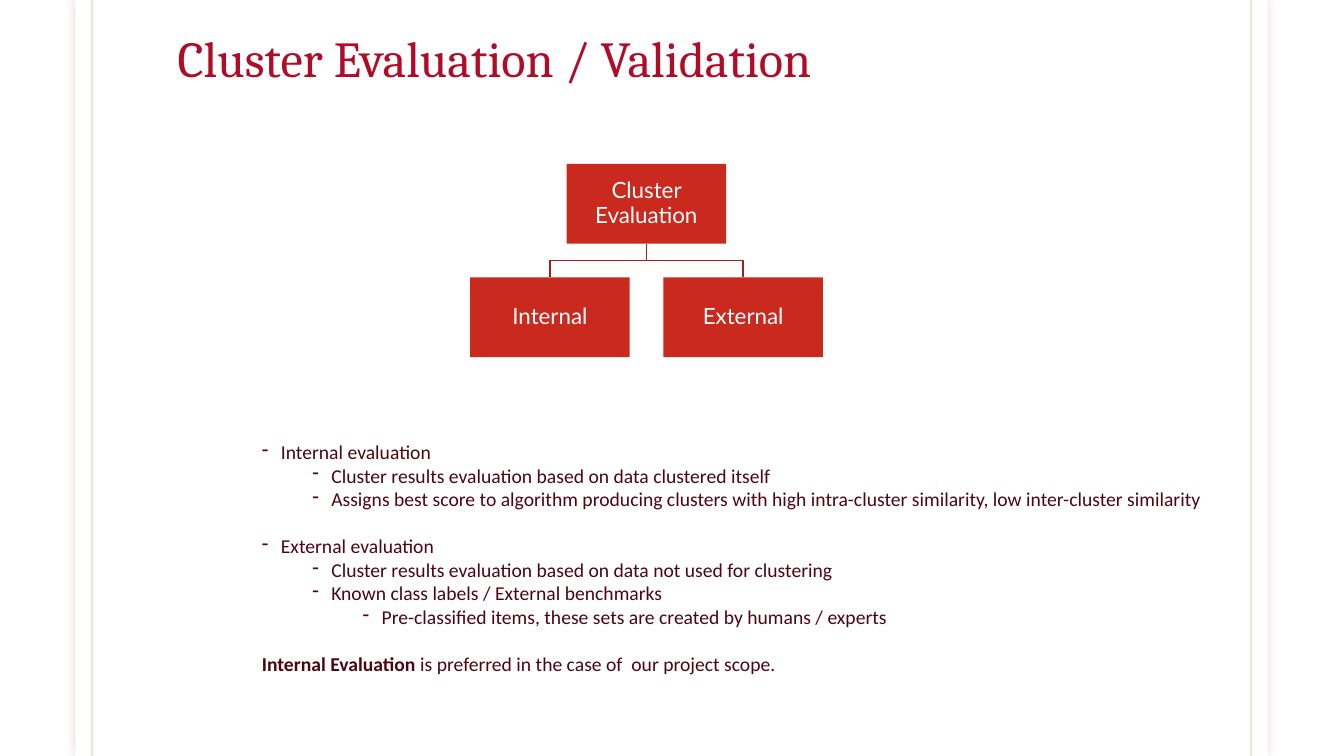
from lxml.etree import SubElement
from pptx import Presentation
from pptx.dml.color import RGBColor
from pptx.enum.shapes import MSO_CONNECTOR, MSO_SHAPE
from pptx.enum.text import MSO_ANCHOR as ANCHOR, MSO_AUTO_SIZE as AUTO, PP_ALIGN as ALIGN
from pptx.oxml.ns import qn
from pptx.util import Cm, Pt

COLORS = {
    "white": "FFFFFF", "title": "B10C27", "text": "4D0511", "box": "CA2A1E",
    "branch": "A22218", "rule": "79540B", "shadow": "65150F",
}
SLIDE_W, SLIDE_H = 33.87, 19.05
BOX_W, BOX_H = 4.02, 2.01
ROOT_X, ROOT_Y = 14.28, 4.13
CHILD_Y = 6.99
CHILDREN = [(11.85, "Internal"), (16.72, "External")]
BULLETS = [
    (0, "Internal evaluation"),
    (1, "Cluster results evaluation based on data clustered itself"),
    (1, "Assigns best score to algorithm producing clusters with high "
        "intra-cluster similarity, low inter-cluster similarity"),
    (0, "External evaluation"),
    (1, "Cluster results evaluation based on data not used for clustering"),
    (1, "Known class labels / External benchmarks"),
    (2, "Pre-classified items, these sets are created by humans / experts"),
]


def rgb(name):
    """Return the named colour."""
    return RGBColor.from_string(COLORS[name])


def add_run(p, text, size, font, color, bold=False):
    """Append a formatted run to a paragraph."""
    r = p.add_run()
    r.text = text
    r.font.size, r.font.name, r.font.bold = Pt(size), font, bold
    r.font.color.rgb = rgb(color)


def add_rect(s, x, y, w, h, color):
    """Add a plain filled rectangle."""
    sp = s.shapes.add_shape(MSO_SHAPE.RECTANGLE, Cm(x), Cm(y), Cm(w), Cm(h))
    sp.shadow.inherit = False
    sp.fill.solid()
    sp.fill.fore_color.rgb = rgb(color)
    sp.line.fill.background()
    return sp


def add_page(s):
    """Add the white page with its soft shadow."""
    sp = add_rect(s, 1.9, 0, 30.05, SLIDE_H, "white")
    effects = sp.element.spPr.find(qn("a:effectLst"))
    shadow = SubElement(effects, qn("a:outerShdw"), blurRad=str(Pt(7)), dist="0", dir="0")
    color = SubElement(shadow, qn("a:srgbClr"), val=COLORS["shadow"])
    SubElement(color, qn("a:alpha"), val="15000")


def add_rule(s, x):
    """Add a faint vertical rule over the slide height."""
    line = s.shapes.add_connector(MSO_CONNECTOR.STRAIGHT, Cm(x), 0, Cm(x), Cm(SLIDE_H))
    line.line.width = Pt(1.5)
    line.line.color.rgb = rgb("rule")
    spPr = line.element.spPr
    SubElement(next(spPr.iter(qn("a:srgbClr"))), qn("a:alpha"), val="15000")
    SubElement(spPr, qn("a:effectLst"))


def add_title(s, text):
    """Place and format the title above the page."""
    sp = s.shapes.title
    sp.element.getparent().append(sp.element)
    sp.left, sp.top, sp.width, sp.height = Cm(4.22), Cm(0.89), Cm(25.4), Cm(1.45)
    tf = sp.text_frame
    tf.auto_size, tf.vertical_anchor, tf.word_wrap = AUTO.NONE, ANCHOR.BOTTOM, True
    p = tf.paragraphs[0]
    p.alignment, p.line_spacing = ALIGN.LEFT, 0.85
    add_run(p, text, 36, "Cambria", "title")


def add_branch(s, child_x):
    """Add the stepped line from the root box to a child box."""
    start, end = ROOT_X + BOX_W / 2, child_x + BOX_W / 2
    top = ROOT_Y + BOX_H
    middle = (top + CHILD_Y) / 2
    builder = s.shapes.build_freeform(Cm(start), Cm(top))
    steps = [(start, middle), (end, middle), (end, CHILD_Y)]
    builder.add_line_segments([(Cm(x), Cm(y)) for x, y in steps], close=False)
    sp = builder.convert_to_shape()
    sp.shadow.inherit = False
    sp.fill.background()
    sp.line.color.rgb = rgb("branch")
    sp.line.width = Pt(1)


def add_node(s, x, y, text):
    """Add a labelled box of the tree."""
    tf = add_rect(s, x, y, BOX_W, BOX_H, "box").text_frame
    tf.margin_left = tf.margin_right = tf.margin_top = tf.margin_bottom = Cm(0.03)
    tf.word_wrap, tf.vertical_anchor = True, ANCHOR.MIDDLE
    p = tf.paragraphs[0]
    p.alignment, p.line_spacing = ALIGN.CENTER, 0.9
    add_run(p, text, 16, "Lato", "white")


def add_bullet(p, level):
    """Give a paragraph a dash and the indent of its level."""
    p.level = level
    pPr = p._p.get_or_add_pPr()
    pPr.set("marL", str(Cm(0.48 + 1.27 * level)))
    pPr.set("indent", str(Cm(-0.48)))
    SubElement(pPr, qn("a:buFontTx"))
    SubElement(pPr, qn("a:buChar"), char="-")


def add_notes_text(s):
    """Add the bullet list and its conclusion."""
    tf = s.shapes.add_textbox(Cm(6.35), Cm(10.96), Cm(24.97), Cm(6.85)).text_frame
    tf.word_wrap = True
    for i, (level, text) in enumerate(BULLETS):
        p = tf.add_paragraph() if i else tf.paragraphs[0]
        if i and level == 0:
            p.space_before = Pt(17)
        add_bullet(p, level)
        add_run(p, text, 14, "Calibri", "text")
    p = tf.add_paragraph()
    p.space_before = Pt(17)
    add_run(p, "Internal Evaluation ", 14, "Calibri", "text", bold=True)
    add_run(p, "is preferred in the case of  our project scope.", 14, "Calibri", "text")


def main():
    """Build the slide and save it."""
    prs = Presentation()
    prs.slide_width, prs.slide_height = Cm(SLIDE_W), Cm(SLIDE_H)
    s = prs.slides.add_slide(prs.slide_layouts[5])
    add_page(s)
    for x in (2.32, 31.53):
        add_rule(s, x)
    add_title(s, "Cluster Evaluation / Validation")
    for x, _ in CHILDREN:
        add_branch(s, x)
    add_node(s, ROOT_X, ROOT_Y, "Cluster Evaluation")
    for x, text in CHILDREN:
        add_node(s, x, CHILD_Y, text)
    add_notes_text(s)
    prs.save("out.pptx")


if __name__ == "__main__":
    main()
